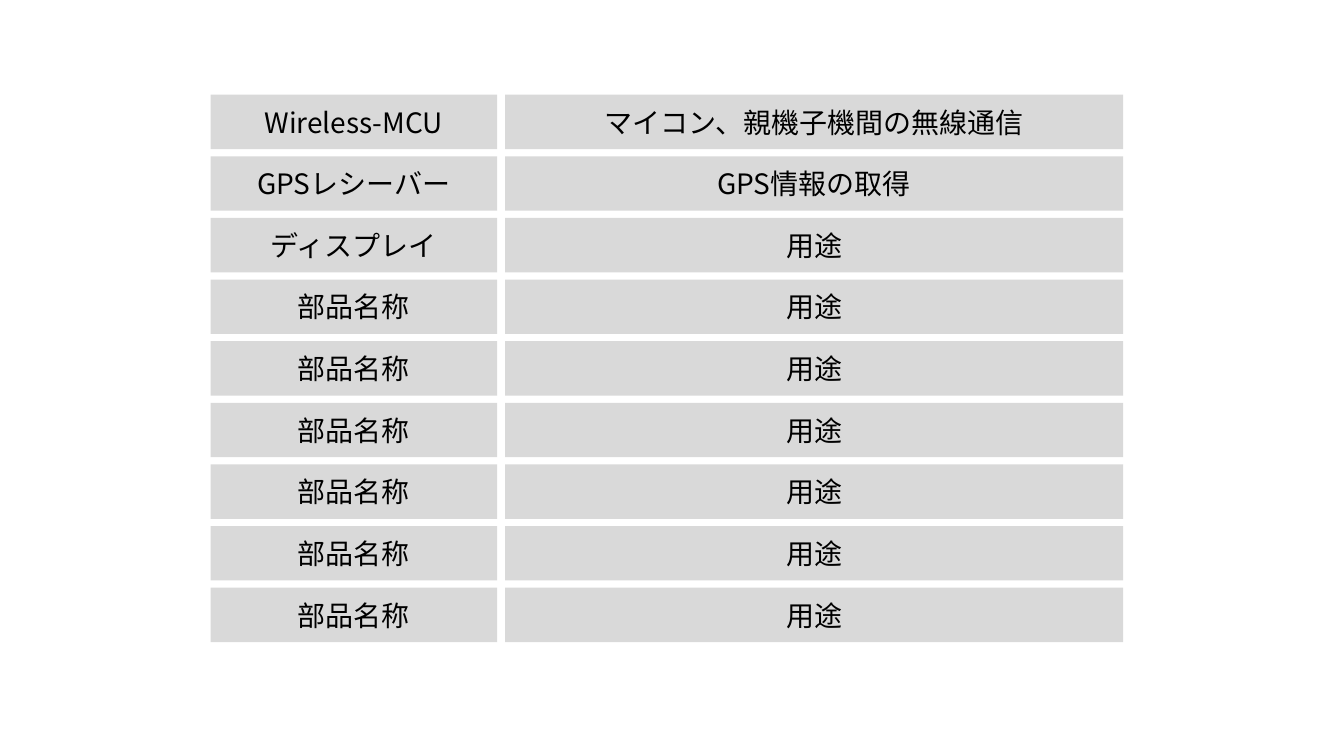
from dataclasses import dataclass

from lxml import etree
from pptx import Presentation
from pptx.dml.color import RGBColor
from pptx.enum.shapes import MSO_SHAPE
from pptx.enum.text import MSO_ANCHOR, PP_ALIGN
from pptx.oxml.ns import qn
from pptx.util import Inches, Pt

RECTANGLE = MSO_SHAPE.RECTANGLE
MIDDLE = MSO_ANCHOR.MIDDLE
CENTER = PP_ALIGN.CENTER


@dataclass(frozen=True)
class Theme:
    font: str = "Noto Sans CJK JP"
    text_size: int = 20
    text_color: str = "000000"
    box_color: str = "D9D9D9"


class SlideBuilder:
    def __init__(self, slide, theme):
        self.slide = slide
        self.theme = theme

    def box(self, text, left, top, width, height):
        shape = self.slide.shapes.add_shape(
            RECTANGLE, Inches(left), Inches(top), Inches(width), Inches(height)
        )
        shape.shadow.inherit = False
        shape.fill.solid()
        shape.fill.fore_color.rgb = RGBColor.from_string(self.theme.box_color)
        shape.line.fill.background()
        shape.text_frame.word_wrap = True
        shape.text_frame.vertical_anchor = MIDDLE
        paragraph = shape.text_frame.paragraphs[0]
        paragraph.alignment = CENTER
        self.run(paragraph, text)

    def run(self, paragraph, text):
        run = paragraph.add_run()
        run.text = text
        run.font.size = Pt(self.theme.text_size)
        run.font.color.rgb = RGBColor.from_string(self.theme.text_color)
        run.font.name = self.theme.font
        # Japanese glyphs take the East Asian typeface
        properties = run.font._element
        etree.SubElement(properties, qn("a:ea"), typeface=self.theme.font)


# Parts and their uses
PARTS = [
    ("Wireless-MCU", "マイコン、親機子機間の無線通信"),
    ("GPSレシーバー", "GPS情報の取得"),
    ("ディスプレイ", "用途"),
] + [("部品名称", "用途")] * 6

# Grid: left edge and width of each column, evenly spaced rows
COLUMNS = [(2.09, 2.84), (5.01, 6.13)]
FIRST_TOP, LAST_TOP = 0.94, 5.83
ROW_HEIGHT = 0.54
ROW_PITCH = (LAST_TOP - FIRST_TOP) / (len(PARTS) - 1)

# Slide
presentation = Presentation()
presentation.slide_width = Inches(13.33)
presentation.slide_height = Inches(7.5)
blank_layout = presentation.slide_layouts[6]
builder = SlideBuilder(presentation.slides.add_slide(blank_layout), Theme())

# Parts list
for row, part in enumerate(PARTS):
    top = FIRST_TOP + row * ROW_PITCH
    for text, (left, width) in zip(part, COLUMNS):
        builder.box(text, left, top, width, ROW_HEIGHT)

presentation.save("out.pptx")
